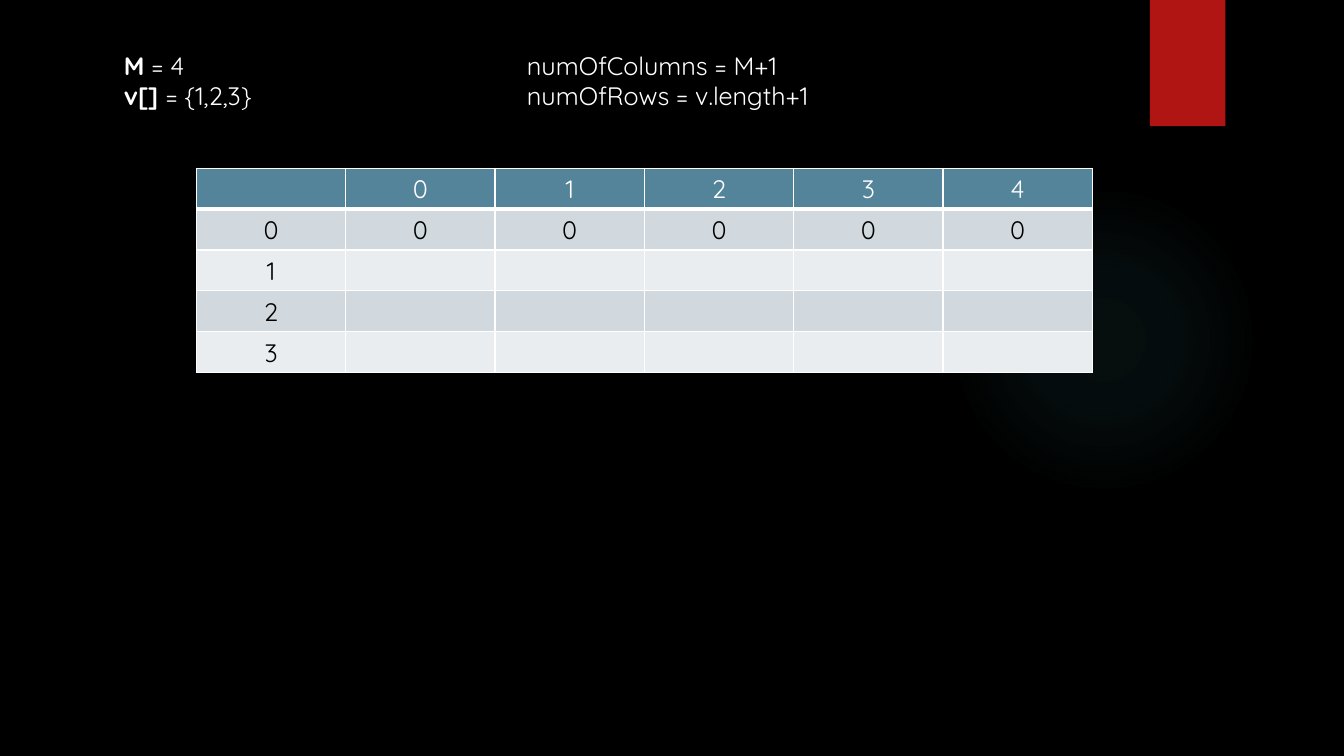
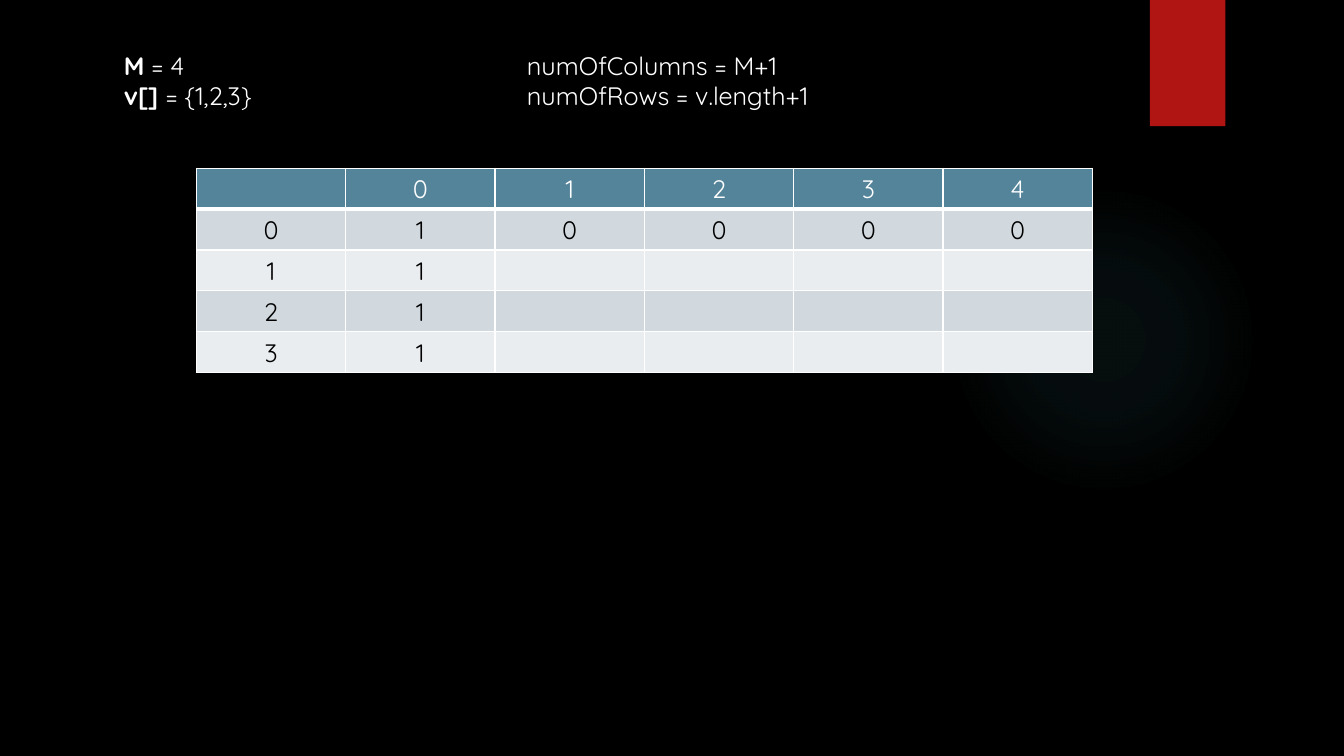
from lxml import etree
from pptx import Presentation
from pptx.dml.color import RGBColor
from pptx.enum.shapes import MSO_SHAPE
from pptx.enum.text import MSO_AUTO_SIZE, PP_ALIGN
from pptx.oxml import parse_xml
from pptx.oxml.ns import qn
from pptx.util import Cm, Pt

OVAL, RECTANGLE = MSO_SHAPE.OVAL, MSO_SHAPE.RECTANGLE
CENTER = PP_ALIGN.CENTER
GROW = MSO_AUTO_SIZE.SHAPE_TO_FIT_TEXT

FONT, TEXT_SIZE = "Quicksand", 18
BLACK, WHITE = "000000", "FFFFFF"
GLOW, RIBBON = "50B9C1", "B01513"
HEADER, BANDS = "54849A", ("D1D9DE", "E9EDEF")
DRAWING_NS = "http://schemas.openxmlformats.org/drawingml/2006/main"

PARAMETERS = [
    ("M", " = 4", "numOfColumns = M+1"),
    ("v[] ", "= {1,2,3}", "numOfRows = v.length+1"),
]
COLUMNS = ["", "0", "1", "2", "3", "4"]
EMPTY = [""] * 4
ZEROS = ["0"] * 4
# Each step lists the table body without its row labels.
STEPS = [
    [["0"] + ZEROS] + [[""] + EMPTY] * 3,
    [["1"] + ZEROS] + [["1"] + EMPTY] * 3,
]


def rgb(color):
    return RGBColor.from_string(color)


def set_font(paragraph, color):
    font = paragraph.font
    font.name, font.size, font.bold = FONT, Pt(TEXT_SIZE), False
    font.color.rgb = rgb(color)


def add_plain_shape(slide, kind, left, top, width, height, color):
    shape = slide.shapes.add_shape(kind, Cm(left), Cm(top), Cm(width), Cm(height))
    shape.shadow.inherit = False
    shape.line.fill.background()
    shape.fill.solid()
    shape.fill.fore_color.rgb = rgb(color)
    return shape


def add_glow(slide):
    """Add a faint disc that fades out from its centre."""
    glow = add_plain_shape(slide, OVAL, 23.9, 4.65, 7.82, 7.82, GLOW)
    stops = "".join(
        f'<a:gs pos="{position * 1000}"><a:srgbClr val="{GLOW}">'
        f'<a:alpha val="{opacity * 1000}"/></a:srgbClr></a:gs>'
        for position, opacity in ((0, 7), (36, 6), (69, 0))
    )
    gradient = parse_xml(
        f'<a:gradFill xmlns:a="{DRAWING_NS}"><a:gsLst>{stops}</a:gsLst>'
        '<a:path path="circle"><a:fillToRect l="50000" t="50000" r="50000" '
        'b="50000"/></a:path></a:gradFill>'
    )
    properties = glow.element.spPr
    properties.replace(properties.find(qn("a:solidFill")), gradient)


def add_tab_stop(paragraph, position):
    properties = paragraph._p.get_or_add_pPr()
    tabs = etree.Element(qn("a:tabLst"))
    etree.SubElement(tabs, qn("a:tab"), pos=str(Cm(position)), algn="l")
    properties.insert(0, tabs)


def add_parameters(slide):
    box = slide.shapes.add_textbox(Cm(2.87), Cm(1.14), Cm(18.52), Cm(1.8))
    frame = box.text_frame
    frame.word_wrap = True
    frame.auto_size = GROW
    for index, (name, value, dimension) in enumerate(PARAMETERS):
        paragraph = frame.add_paragraph() if index else frame.paragraphs[0]
        set_font(paragraph, WHITE)
        add_tab_stop(paragraph, 10.16)
        name_run = paragraph.add_run()
        name_run.text = name
        name_run.font.bold = True
        paragraph.add_run().text = f"{value}\t{dimension}"


def set_borders(cell, bottom_width):
    properties = cell._tc.get_or_add_tcPr()
    for side, width in (("L", 1), ("R", 1), ("T", 1), ("B", bottom_width)):
        line = etree.SubElement(properties, qn(f"a:ln{side}"), w=str(Pt(width)))
        fill = etree.SubElement(line, qn("a:solidFill"))
        etree.SubElement(fill, qn("a:srgbClr"), val=WHITE)


def fill_cell(cell, text, fill, color, bottom_width):
    set_borders(cell, bottom_width)
    cell.fill.solid()
    cell.fill.fore_color.rgb = rgb(fill)
    cell.text = text
    paragraph = cell.text_frame.paragraphs[0]
    paragraph.alignment = CENTER
    set_font(paragraph, color)


def add_step_table(slide, body):
    rows = [COLUMNS] + [[str(label)] + values for label, values in enumerate(body)]
    table = slide.shapes.add_table(
        len(rows), len(COLUMNS), Cm(4.95), Cm(4.24),
        Cm(3.763 * len(COLUMNS)), Cm(1.03 * len(rows)),
    ).table
    table.horz_banding = False
    for row_index, values in enumerate(rows):
        if row_index == 0:
            style = (HEADER, WHITE, 3)
        else:
            style = (BANDS[(row_index - 1) % 2], BLACK, 1)
        for column_index, text in enumerate(values):
            fill_cell(table.cell(row_index, column_index), text, *style)


def main():
    deck = Presentation()
    deck.slide_width, deck.slide_height = Cm(33.87), Cm(19.05)
    background = deck.slide_master.background.fill
    background.solid()
    background.fore_color.rgb = rgb(BLACK)
    for body in STEPS:
        slide = deck.slides.add_slide(deck.slide_layouts[6])
        add_glow(slide)
        add_plain_shape(slide, RECTANGLE, 28.98, 0, 1.9, 3.18, RIBBON)
        add_parameters(slide)
        add_step_table(slide, body)
    deck.save("out.pptx")


if __name__ == "__main__":
    main()
